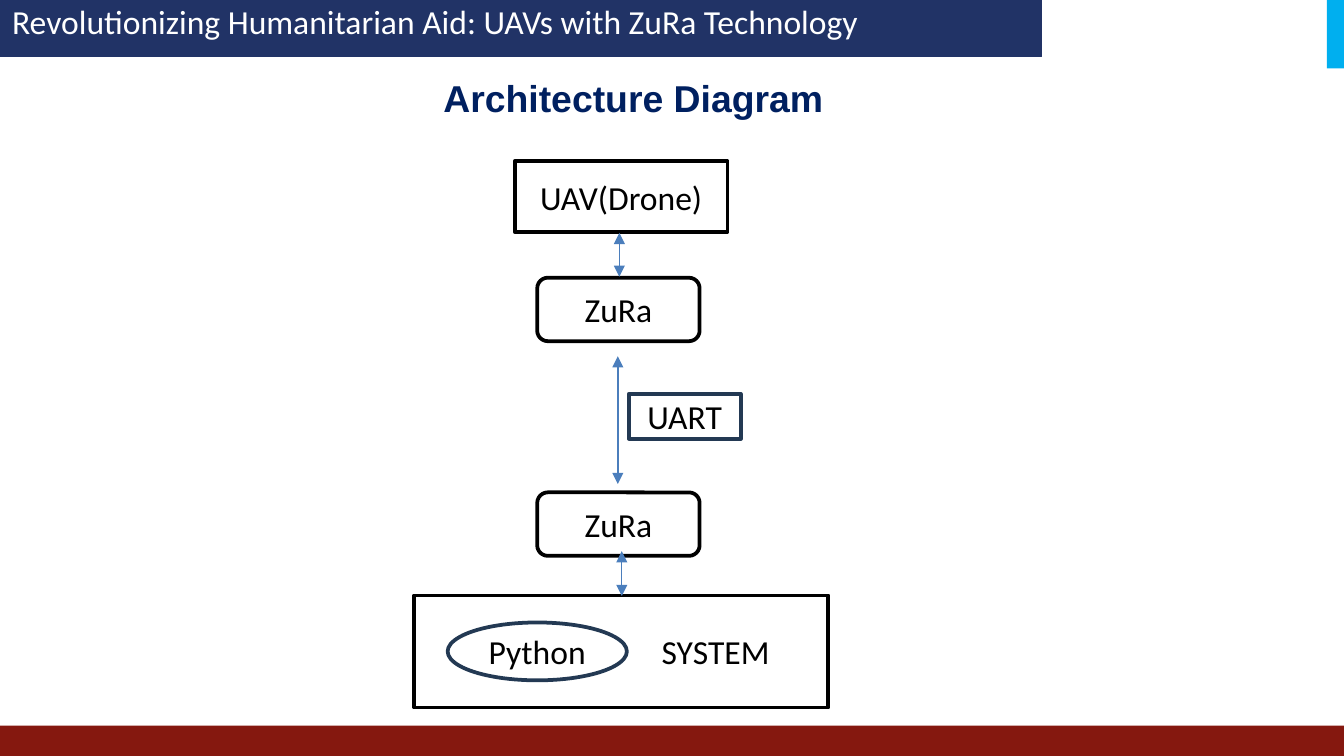
from lxml.etree import SubElement
from pptx import Presentation
from pptx.dml.color import RGBColor
from pptx.enum.shapes import MSO_CONNECTOR, MSO_SHAPE
from pptx.enum.text import MSO_ANCHOR, PP_ALIGN
from pptx.oxml.ns import qn
from pptx.util import Pt

HUES = {
    "navy": "213366", "maroon": "85180F", "cyan": "00AFEF", "title": "002060",
    "white": "FFFFFF", "black": "000000", "slate": "233953", "blue": "4B7EBC",
}


def hue(name):
    """Return the named colour."""
    return RGBColor.from_string(HUES[name])


def style(frame, text, size, font, color, bold=False):
    """Set one paragraph of text and format its run."""
    frame.text = text
    face = frame.paragraphs[0].runs[0].font
    face.size, face.name, face.bold = Pt(size), font, bold
    face.color.rgb = hue(color)


def shape(slide, kind, box, fill, line=None, width=2):
    """Add a flat preset shape."""
    item = slide.shapes.add_shape(kind, *map(Pt, box))
    item.shadow.inherit = False
    item.fill.solid()
    item.fill.fore_color.rgb = hue(fill)
    if line:
        item.line.color.rgb = hue(line)
        item.line.width = Pt(width)
    else:
        item.line.fill.background()
    return item


def node(slide, kind, box, text, line="black", indent=0):
    """Add an outlined white shape with a centred label."""
    item = shape(slide, kind, box, "white", line)
    frame = item.text_frame
    frame.vertical_anchor = MSO_ANCHOR.MIDDLE
    frame.margin_left = Pt(7.2 + indent)
    style(frame, text, 18, "Calibri", "black")
    frame.paragraphs[0].alignment = PP_ALIGN.CENTER


def arrow(slide, x, top, end):
    """Add a vertical line with a head at both ends."""
    item = slide.shapes.add_connector(
        MSO_CONNECTOR.STRAIGHT, Pt(x), Pt(top), Pt(x), Pt(end))
    item.line.color.rgb = hue("blue")
    item.line.width = Pt(0.75)
    props = item.line._get_or_add_ln()
    for tag in ("a:headEnd", "a:tailEnd"):
        SubElement(props, qn(tag), type="triangle")
    SubElement(item._element.spPr, qn("a:effectLst"))


def banner(slide, left, top, width, height):
    """Draw the title bar and its text."""
    shape(slide, MSO_SHAPE.RECTANGLE, (left, top, width, height),
          "navy", "navy", 1)
    label = slide.shapes.add_textbox(
        Pt(left + 6.5), Pt(top - 0.5), Pt(456), Pt(24))
    frame = label.text_frame
    frame.word_wrap = True
    frame.margin_left = frame.margin_right = frame.margin_bottom = 0
    frame.margin_top = Pt(1)
    style(frame, "Revolutionizing Humanitarian Aid: UAVs with ZuRa Technology",
          18, "Calibri", "white")
    frame.paragraphs[0].space_before = Pt(1)


def heading(slide, left, top, width, height):
    """Write the slide heading."""
    label = slide.shapes.add_textbox(*map(Pt, (left, top, width, height)))
    label.text_frame.word_wrap = True
    style(label.text_frame, "Architecture Diagram", 20, "Arial", "title", True)


def diagram(slide, left, top, width, height):
    """Draw the chain from drone to ground system."""
    base = top + height - 60
    node(slide, MSO_SHAPE.RECTANGLE, (left + 54, top, 114, 38), "UAV(Drone)")
    for drop in (62.5, 177.5):
        node(slide, MSO_SHAPE.ROUNDED_RECTANGLE,
             (left + 66, top + drop, 87, 34), "ZuRa")
    node(slide, MSO_SHAPE.RECTANGLE, (left, base, width, 60), "SYSTEM",
         indent=101)
    node(slide, MSO_SHAPE.OVAL, (left + 18, base + 14.5, 96, 31), "Python",
         "slate")
    for x, start, end in ((109.2, 104.5, 173), (110, 38.5, 62),
                          (111.3, 209, 233)):
        arrow(slide, left + x, top + start, top + end)
    node(slide, MSO_SHAPE.RECTANGLE, (left + 115, top + 124.7, 60, 24),
         "UART", "slate")


def main():
    """Build and save the slide."""
    deck = Presentation()
    deck.slide_width, deck.slide_height = Pt(720), Pt(405)
    slide = deck.slides.add_slide(deck.slide_layouts[6])
    banner(slide, 0, 0, 558, 30.3)
    shape(slide, MSO_SHAPE.RECTANGLE, (0, 388.8, 720, 16.2), "maroon")
    shape(slide, MSO_SHAPE.RECTANGLE, (710.8, 0, 9.2, 36.7), "cyan")
    heading(slide, 230.4, 36.7, 234, 31.7)
    diagram(slide, 221.8, 86.3, 222, 292.7)
    deck.save("out.pptx")


if __name__ == "__main__":
    main()
